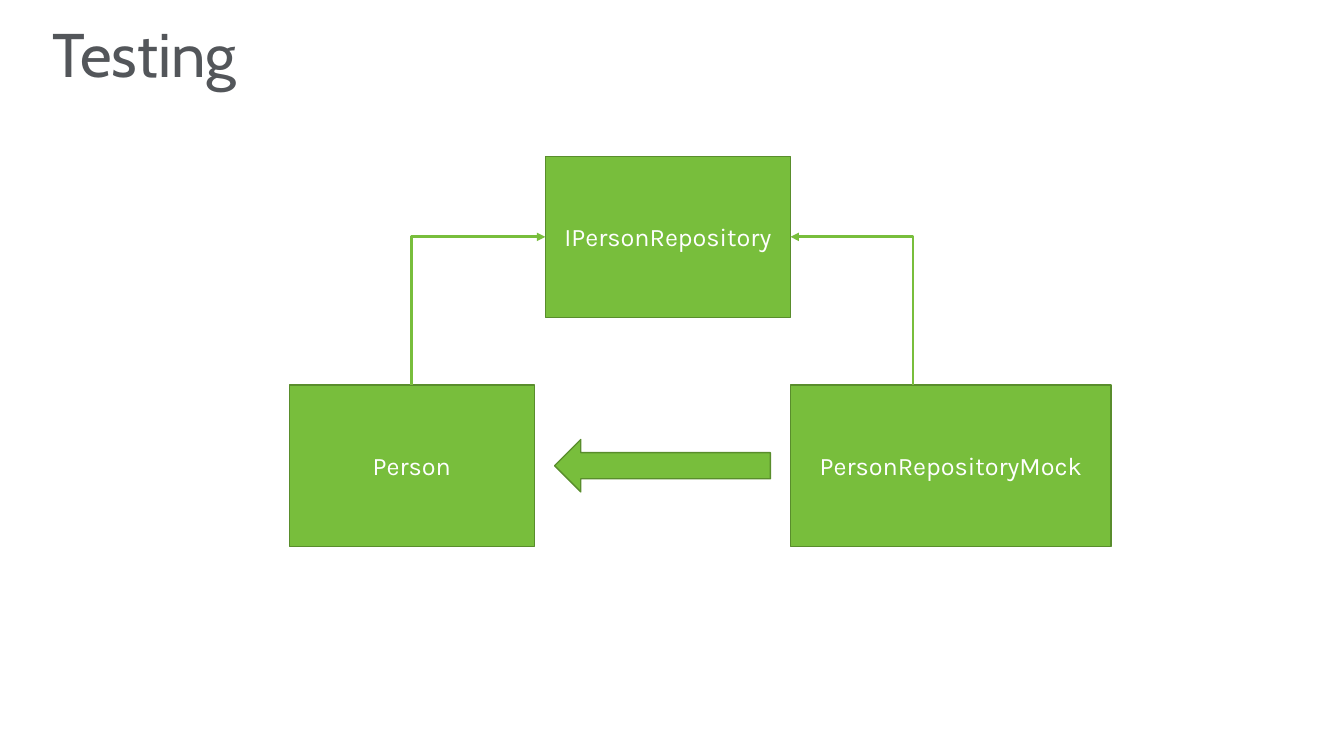
import pptx
import pptx.dml.color
import pptx.enum.shapes
import pptx.enum.text
import pptx.oxml.ns
import pptx.util
from lxml import etree

Inches = pptx.util.Inches
Shapes = pptx.enum.shapes.MSO_SHAPE
GREEN, DARK_GREEN, GREY, WHITE = "78BE3C", "598D2C", "53565A", "FFFFFF"
TITLE_FONT = {"name": "Cabin", "size": pptx.util.Pt(44), "bold": False}
BOX_FONT = {"name": "Karla", "size": pptx.util.Pt(18)}
BOX_HEIGHT = 1.6


def color(value):
    return pptx.dml.color.RGBColor.from_string(value)


def write_text(shape, text, font_values, text_color, alignment):
    frame = shape.text_frame
    frame.word_wrap = True
    frame.vertical_anchor = pptx.enum.text.MSO_ANCHOR.MIDDLE
    paragraph = frame.paragraphs[0]
    paragraph.text = text
    paragraph.alignment = alignment
    for name, value in font_values.items():
        setattr(paragraph.font, name, value)
    paragraph.font.color.rgb = color(text_color)
    return paragraph


def add_title(slide, text, left, top, width, height):
    title = slide.shapes.title
    title.left, title.top = Inches(left), Inches(top)
    title.width, title.height = Inches(width), Inches(height)
    paragraph = write_text(title, text, TITLE_FONT, GREY, pptx.enum.text.PP_ALIGN.LEFT)
    paragraph.line_spacing = 0.9
    title.text_frame.auto_size = pptx.enum.text.MSO_AUTO_SIZE.NONE


def add_green_shape(slide, kind, left, top, width, height):
    shape = slide.shapes.add_shape(
        kind, Inches(left), Inches(top), Inches(width), Inches(height))
    shape.shadow.inherit = False
    shape.fill.solid()
    shape.fill.fore_color.rgb = color(GREEN)
    shape.line.color.rgb = color(DARK_GREEN)
    shape.line.width = pptx.util.Pt(1)
    return shape


def add_class_box(slide, text, left, top, width):
    box = add_green_shape(slide, Shapes.RECTANGLE, left, top, width, BOX_HEIGHT)
    write_text(box, text, BOX_FONT, WHITE, pptx.enum.text.PP_ALIGN.CENTER)


def add_elbow(slide, arrow_x, arrow_y, foot_x, foot_y):
    """Draw one bend: level from the arrowhead, then down to the foot."""
    connector = slide.shapes.add_connector(
        pptx.enum.shapes.MSO_CONNECTOR.ELBOW,
        Inches(arrow_x), Inches(arrow_y), Inches(foot_x), Inches(foot_y))
    connector.line.color.rgb = color(GREEN)
    connector.line.width = pptx.util.Pt(2)
    properties = connector._element.spPr
    properties.find(pptx.oxml.ns.qn("a:prstGeom")).set("prst", "bentConnector2")
    line = connector.line._get_or_add_ln()
    etree.SubElement(line, pptx.oxml.ns.qn("a:headEnd"), type="triangle")
    etree.SubElement(properties, pptx.oxml.ns.qn("a:effectLst"))


def add_diagram(slide, left, top):
    """Place the interface above, with its user and its mock below."""
    width, mock_width = 2.43, 3.18
    interface_left = left + 2.54
    interface_right = interface_left + width
    lower_top = top + 2.27
    add_class_box(slide, "Person", left, lower_top, width)
    add_class_box(slide, "PersonRepositoryMock", interface_right, lower_top, mock_width)
    add_class_box(slide, "IPersonRepository", interface_left, top, width)

    arrow_y = top + BOX_HEIGHT / 2
    add_elbow(slide, interface_left, arrow_y, left + width / 2, lower_top)
    add_elbow(slide, interface_right, arrow_y, interface_right + width / 2, lower_top)

    arrow_height = 0.52
    arrow = add_green_shape(
        slide, Shapes.RIGHT_ARROW, left + 2.63,
        lower_top + (BOX_HEIGHT - arrow_height) / 2, 2.14, arrow_height)
    arrow.rotation = 180


def main():
    presentation = pptx.Presentation()
    presentation.slide_width = Inches(13.33)
    presentation.slide_height = Inches(7.5)
    slide = presentation.slides.add_slide(presentation.slide_layouts[5])
    add_title(slide, "Testing", 0.42, 0.28, 12.49, 0.59)
    add_diagram(slide, 2.87, 1.55)
    presentation.save("out.pptx")


if __name__ == "__main__":
    main()
